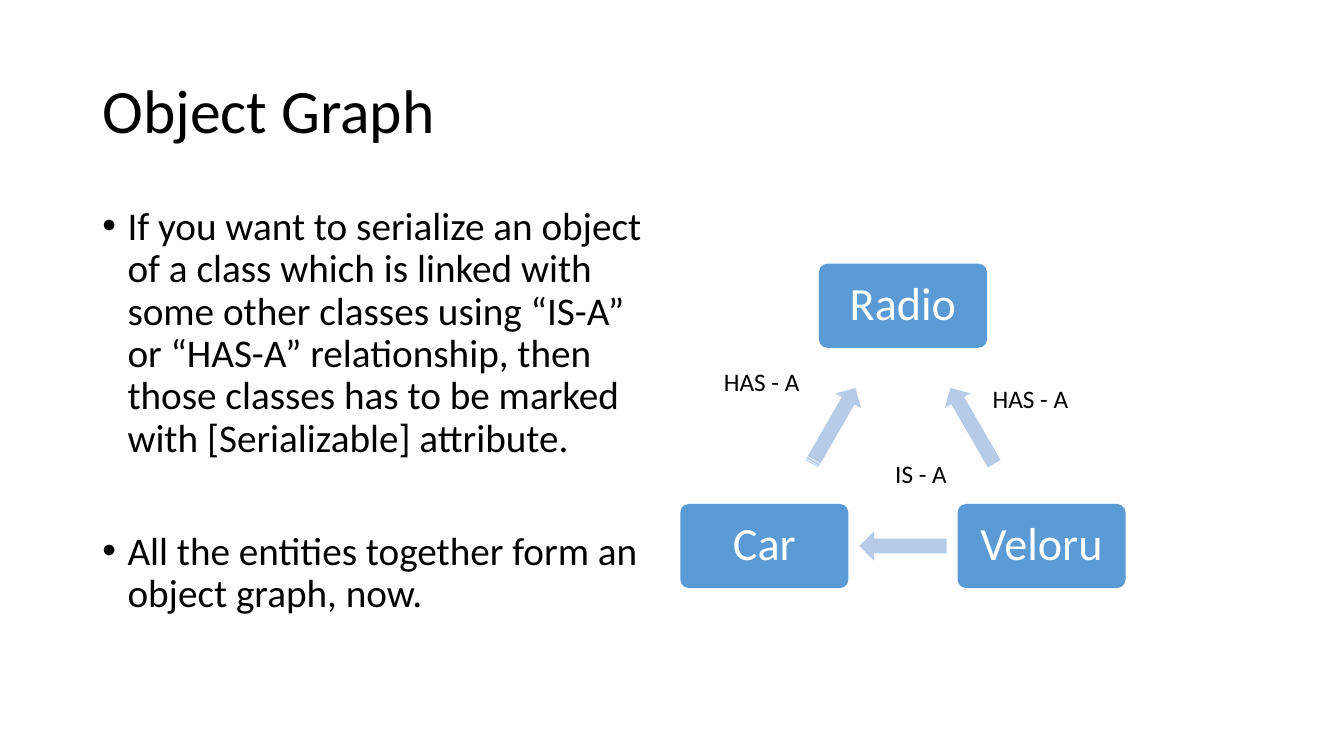
from dataclasses import dataclass

from lxml import etree
from pptx import Presentation, util as u
from pptx.dml.color import RGBColor
from pptx.enum import shapes, text
from pptx.oxml import ns


@dataclass(frozen=True)
class Theme:
    font: str = "Calibri"
    ink: str = "000000"
    paper: str = "FFFFFF"
    node: str = "5B9BD5"
    arrow: str = "B5CBE7"
    title: int = 44
    body: int = 28
    name: int = 33
    label: int = 18


def write(para, words, *, font, size, color, spacing=1.0, before=0, align=None):
    para.line_spacing = spacing
    para.space_before = u.Pt(before)
    para.alignment = align
    span = para.add_run()
    span.text = words
    span.font.name = font
    span.font.size = u.Pt(size)
    span.font.color.rgb = RGBColor.from_string(color)


class ObjectGraphSlide:
    """Draw the slide's elements on a grid of 160 columns by 90 rows."""

    def __init__(self, deck, theme):
        self.theme = theme
        self.page = deck.slides.add_slide(deck.slide_layouts[6])
        self.column = deck.slide_width / 160
        self.row = deck.slide_height / 90

    def place(self, left, top, width, height):
        return (round(left * self.column), round(top * self.row),
                round(width * self.column), round(height * self.row))

    def textbox(self, *area):
        box = self.page.shapes.add_textbox(*self.place(*area))
        box.text_frame.word_wrap = True
        return box.text_frame

    def title(self, words, *area):
        frame = self.textbox(*area)
        frame.vertical_anchor = text.MSO_ANCHOR.MIDDLE
        write(frame.paragraphs[0], words, font=self.theme.font,
              size=self.theme.title, color=self.theme.ink, spacing=0.9)

    def bullets(self, items, *area):
        frame = self.textbox(*area)
        for index, (words, before) in enumerate(items):
            para = frame.add_paragraph() if index else frame.paragraphs[0]
            write(para, words, font=self.theme.font, size=self.theme.body,
                  color=self.theme.ink, spacing=0.9, before=before)
            props = para._p.get_or_add_pPr()
            props.set("marL", str(u.Inches(0.25)))
            props.set("indent", str(-u.Inches(0.25)))
            etree.SubElement(props, ns.qn("a:buFont")).set("typeface", "Arial")
            etree.SubElement(props, ns.qn("a:buChar")).set("char", "•")

    def label(self, words, left, top):
        frame = self.textbox(left, top, 15, 4.8)
        write(frame.paragraphs[0], words, font=self.theme.font,
              size=self.theme.label, color=self.theme.ink)

    def shape(self, kind, color, center, width, height):
        x, y = center
        area = self.place(x - width / 2, y - height / 2, width, height)
        shape = self.page.shapes.add_shape(kind, *area)
        shape.shadow.inherit = False
        shape.fill.solid()
        shape.fill.fore_color.rgb = RGBColor.from_string(color)
        shape.line.fill.background()
        return shape

    def node(self, name, center):
        box = self.shape(shapes.MSO_SHAPE.ROUNDED_RECTANGLE,
                         self.theme.node, center, 20, 10)
        box.adjustments[0] = 0.1
        frame = box.text_frame
        frame.word_wrap = True
        frame.vertical_anchor = text.MSO_ANCHOR.MIDDLE
        frame.margin_left = frame.margin_right = u.Inches(0.15)
        frame.margin_top = frame.margin_bottom = u.Inches(0.15)
        write(frame.paragraphs[0], name, font=self.theme.font,
              size=self.theme.name, color=self.theme.paper, spacing=0.9,
              align=text.PP_ALIGN.CENTER)

    def arrow(self, kind, start, end, rotation):
        middle = [(a + b) / 2 for a, b in zip(start, end)]
        arrow = self.shape(kind, self.theme.arrow, middle, 10.4, 3.5)
        arrow.rotation = rotation


def main():
    deck = Presentation()
    deck.slide_width, deck.slide_height = u.Inches(13.33), u.Inches(7.5)
    slide = ObjectGraphSlide(deck, Theme())

    slide.bullets([
        ("If you want to serialize an object of a class which is linked with "
         "some other classes using “IS-A” or “HAS-A” relationship, then those "
         "classes has to be marked with [Serializable] attribute.", 10),
        ("All the entities together form an object graph, now.", 50.5),
    ], 11, 24, 68, 57)
    slide.title("Object Graph", 11, 4.8, 138, 17.4)

    for words, left, top in [("HAS - A", 117, 45), ("HAS - A", 85, 43),
                             ("IS - A", 105.4, 54)]:
        slide.label(words, left, top)

    centers = {"Radio": (107.5, 36.4), "Veloru": (124, 65), "Car": (91, 65)}
    for name, center in centers.items():
        slide.node(name, center)

    kinds = shapes.MSO_SHAPE
    for kind, start, end, rotation in [
        (kinds.LEFT_ARROW, "Veloru", "Radio", 60),
        (kinds.RIGHT_ARROW, "Veloru", "Car", 180),
        (kinds.STRIPED_RIGHT_ARROW, "Car", "Radio", 300),
    ]:
        slide.arrow(kind, centers[start], centers[end], rotation)

    deck.save("out.pptx")


if __name__ == "__main__":
    main()
